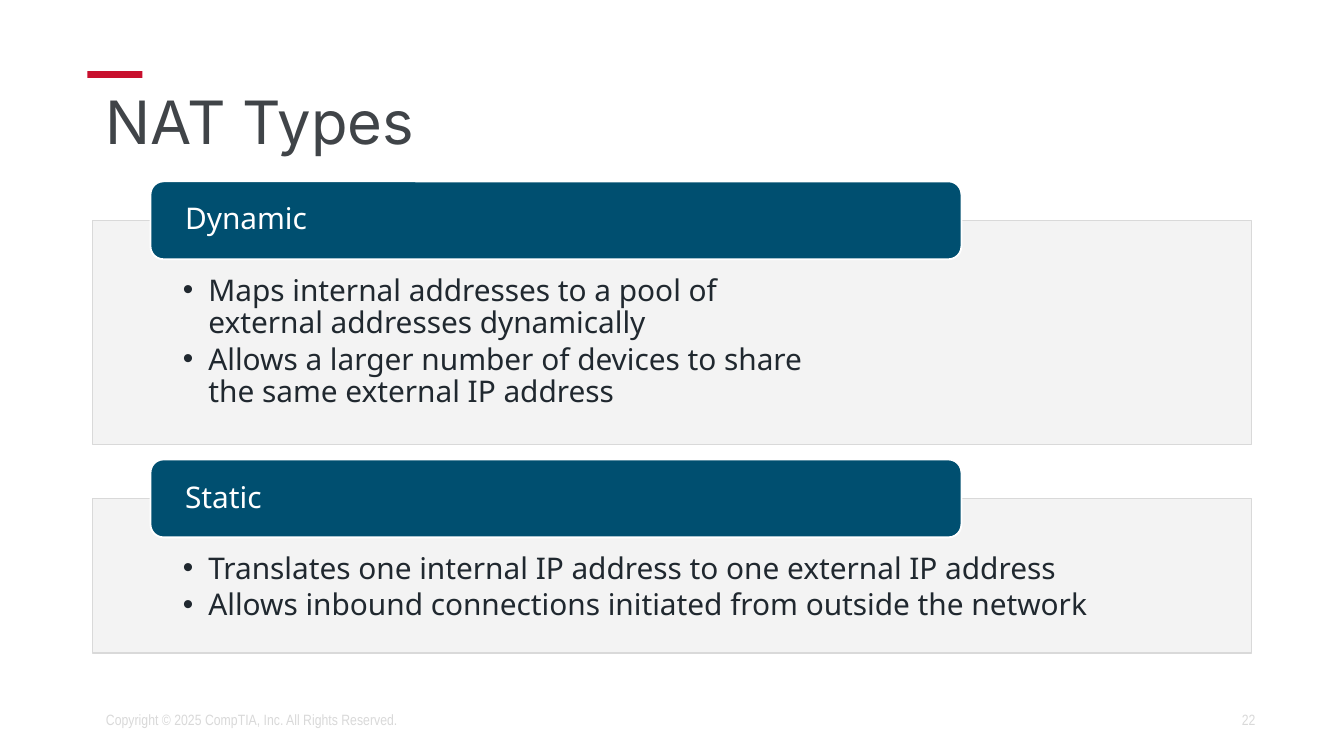
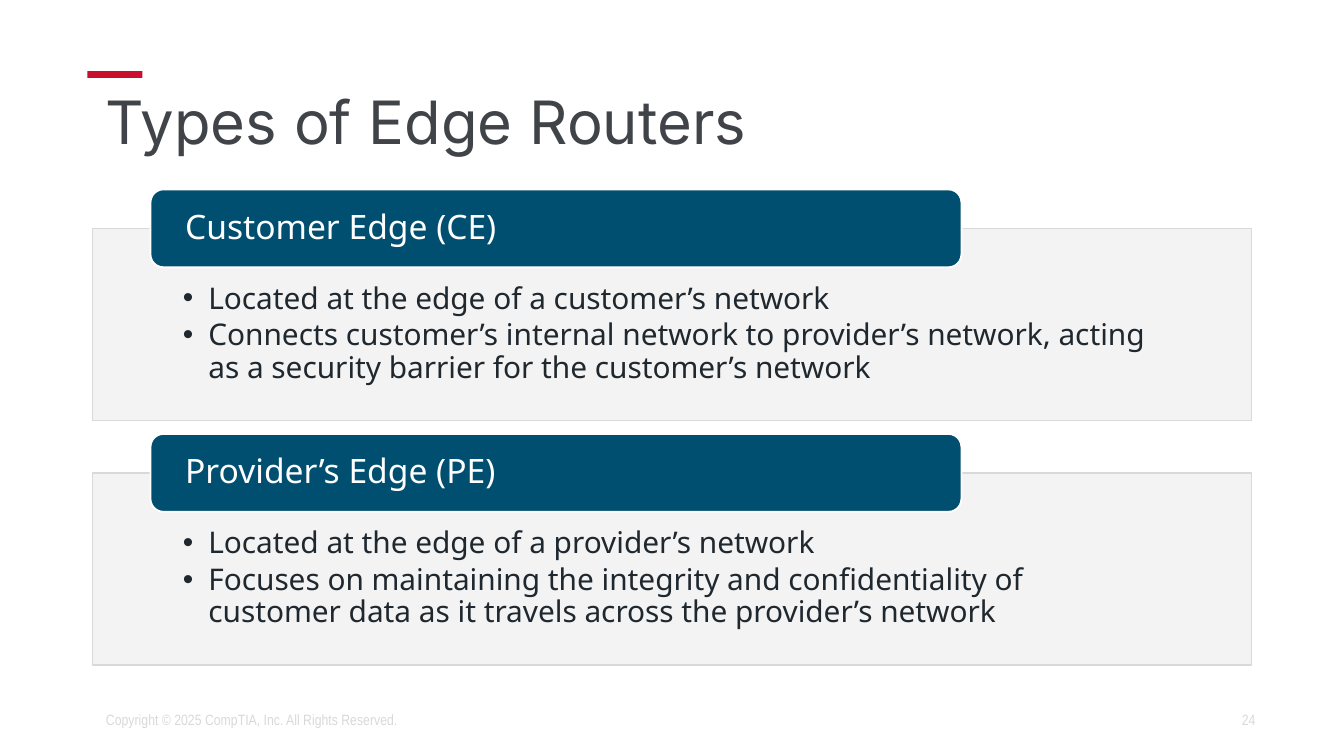
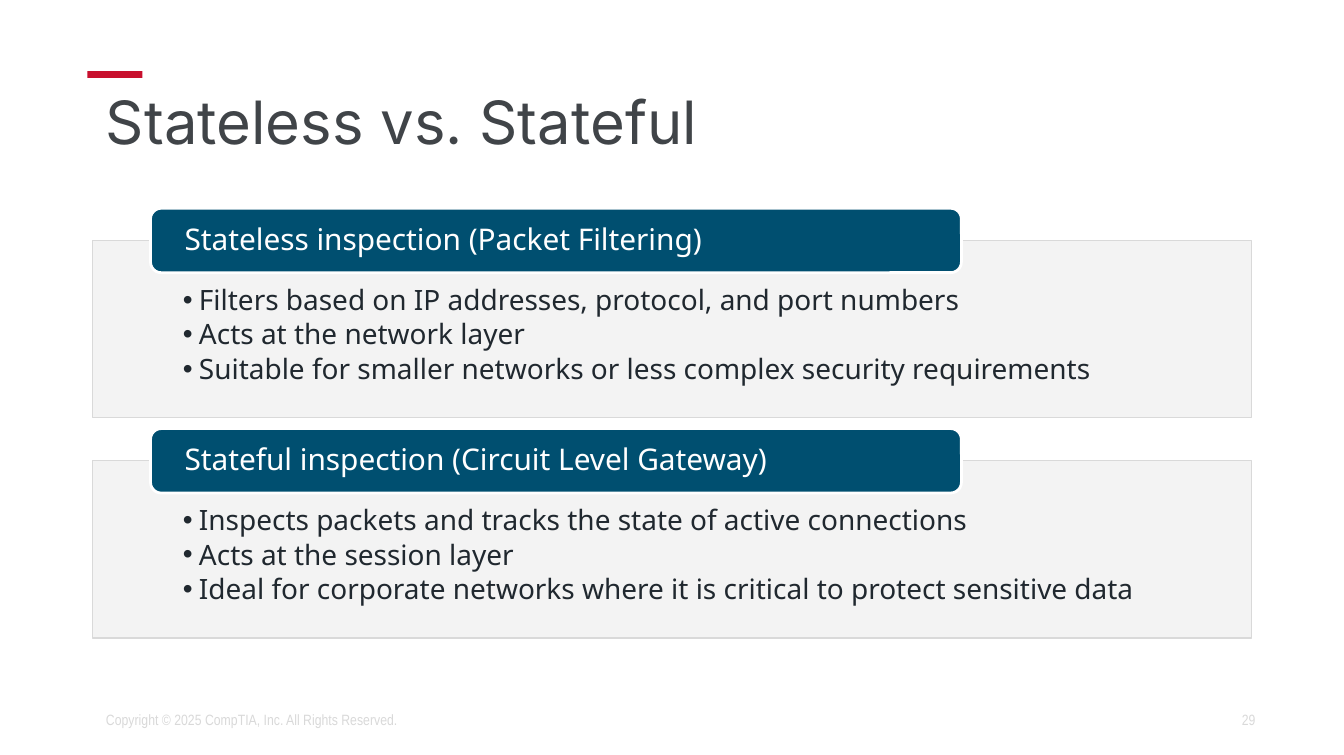
import pptx
import pptx.util
import pptx.dml.color
import pptx.enum.shapes
import pptx.enum.text
import pptx.oxml.ns
import lxml.etree

Inches, Pt = pptx.util.Inches, pptx.util.Pt
SHAPES = pptx.enum.shapes.MSO_SHAPE
ANCHOR = pptx.enum.text.MSO_ANCHOR
ALIGN = pptx.enum.text.PP_ALIGN
qn = pptx.oxml.ns.qn

COLORS = {
    "accent": "C8102E",
    "title": "404448",
    "footer": "D9D9D9",
    "panel": "F2F2F2",
    "panel_edge": "D9D9D9",
    "tab": "004F70",
    "white": "FFFFFF",
    "body": "20282F",
}
COPYRIGHT = "Copyright © 2025 CompTIA, Inc. All Rights Reserved."
LEFT, WIDTH = 0.69, 8.62

SLIDES = [
    {
        "title": "NAT Types", "number": 22, "top": 1.35, "gap": 0.11,
        "tab_height": 0.58, "tab_size": 16, "tab_edge": 1,
        "body_size": 16, "body_top": 0.41, "indent": 0.19,
        "sections": [
            ("Dynamic", 1.67, [
                "Maps internal addresses to a pool of\vexternal addresses dynamically",
                "Allows a larger number of devices to share\vthe same external IP address",
            ]),
            ("Static", 1.15, [
                "Translates one internal IP address to one external IP address",
                "Allows inbound connections initiated from outside the network",
            ]),
        ],
    },
    {
        "title": "Types of Edge Routers", "number": 24, "top": 1.41, "gap": 0.1,
        "tab_height": 0.58, "tab_size": 18, "tab_edge": 1,
        "body_size": 16, "body_top": 0.41, "indent": 0.19,
        "sections": [
            ("Customer Edge (CE)", 1.43, [
                "Located at the edge of a customer’s network",
                "Connects customer’s internal network to provider’s network, "
                "acting as a security barrier for the customer’s network",
            ]),
            ("Provider’s Edge (PE)", 1.43, [
                "Located at the edge of a provider’s network",
                "Focuses on maintaining the integrity and confidentiality of "
                "customer data as it travels across the provider’s network",
            ]),
        ],
    },
    {
        "title": "Stateless vs. Stateful", "number": 29, "top": 1.55, "gap": 0.08,
        "tab_height": 0.48, "tab_size": 16, "tab_edge": 1.5,
        "body_size": 15, "body_top": 0.34, "indent": 0.12,
        "sections": [
            ("Stateless inspection (Packet Filtering)", 1.32, [
                "Filters based on IP addresses, protocol, and port numbers",
                "Acts at the network layer",
                "Suitable for smaller networks or less complex security requirements",
            ]),
            ("Stateful inspection (Circuit Level Gateway)", 1.32, [
                "Inspects packets and tracks the state of active connections",
                "Acts at the session layer",
                "Ideal for corporate networks where it is critical to protect sensitive data",
            ]),
        ],
    },
]


# Shared helpers
def rgb(color):
    return pptx.dml.color.RGBColor.from_string(COLORS[color])


def style_paragraph(paragraph, font, size, color, align=ALIGN.LEFT):
    paragraph.alignment = align
    paragraph.font.name = font
    paragraph.font.size = Pt(size)
    paragraph.font.color.rgb = rgb(color)


def space_after_percent(paragraph, percent):
    properties = paragraph._p.get_or_add_pPr()
    spacing = lxml.etree.SubElement(properties, qn("a:spcAft"))
    lxml.etree.SubElement(spacing, qn("a:spcPct")).set("val", str(percent * 1000))


def add_bullet(paragraph, indent):
    properties = paragraph._p.get_or_add_pPr()
    properties.set("marL", str(Inches(indent)))
    properties.set("indent", str(-Inches(indent)))
    lxml.etree.SubElement(properties, qn("a:buFont")).set("typeface", "Arial")
    lxml.etree.SubElement(properties, qn("a:buChar")).set("char", "•")


def add_block(slide, kind, box, fill, edge=None, edge_width=0):
    block = slide.shapes.add_shape(kind, *map(Inches, box))
    block.shadow.inherit = False
    block.fill.solid()
    block.fill.fore_color.rgb = rgb(fill)
    if edge:
        block.line.color.rgb = rgb(edge)
        block.line.width = Pt(edge_width)
    else:
        block.line.fill.background()
    return block


def set_insets(frame, left, top, right, bottom):
    frame.margin_left, frame.margin_top = Inches(left), Inches(top)
    frame.margin_right, frame.margin_bottom = Inches(right), Inches(bottom)


def add_label(slide, box, text, font, size, color, align=ALIGN.LEFT, anchor=ANCHOR.MIDDLE):
    frame = slide.shapes.add_textbox(*map(Inches, box)).text_frame
    frame.word_wrap = True
    frame.vertical_anchor = anchor
    paragraph = frame.paragraphs[0]
    paragraph.text = text
    style_paragraph(paragraph, font, size, color, align)
    return paragraph


# Title with accent bar
def add_title(slide, text):
    add_block(slide, SHAPES.RECTANGLE, (0.65, 0.53, 0.41, 0.05), "accent")
    title = add_label(slide, (LEFT, 0.64, WIDTH, 0.63), text, "Inter", 32, "title",
                      anchor=ANCHOR.TOP)
    title.line_spacing = 0.9


# Copyright and page number
def add_footer(slide, number):
    add_label(slide, (7.06, 5.21, 2.38, 0.3), str(number), "Arial Narrow", 8, "footer",
              ALIGN.RIGHT)
    add_label(slide, (LEFT, 5.21, 4.31, 0.3), COPYRIGHT, "Arial Narrow", 8, "footer")


# Bulleted panel
def add_panel(slide, box, bullets, content):
    panel = add_block(slide, SHAPES.RECTANGLE, box, "panel", "panel_edge", 0.75)
    fill_color = panel.fill._xPr.find(qn("a:solidFill"))[0]
    lxml.etree.SubElement(fill_color, qn("a:alpha")).set("val", "90000")
    frame = panel.text_frame
    frame.word_wrap = True
    frame.vertical_anchor = ANCHOR.TOP
    set_insets(frame, 0.67, content["body_top"], 0.67, 0.12)
    for index, bullet in enumerate(bullets):
        paragraph = frame.add_paragraph() if index else frame.paragraphs[0]
        paragraph.text = bullet
        paragraph.level = 1
        space_after_percent(paragraph, 15)
        add_bullet(paragraph, content["indent"])
        paragraph.line_spacing = 0.9
        style_paragraph(paragraph, "Noto Sans", content["body_size"], "body")


# Rounded heading that straddles the panel's top edge
def add_tab(slide, box, heading, content):
    tab = add_block(slide, SHAPES.ROUNDED_RECTANGLE, box, "tab", "white", content["tab_edge"])
    frame = tab.text_frame
    frame.word_wrap = True
    frame.vertical_anchor = ANCHOR.MIDDLE
    set_insets(frame, 0.23, 0, 0.23, 0)
    paragraph = frame.paragraphs[0]
    paragraph.text = heading
    space_after_percent(paragraph, 35)
    paragraph.line_spacing = 0.9
    style_paragraph(paragraph, "Noto Sans", content["tab_size"], "white")


def add_sections(slide, content):
    tab_top, tab_height = content["top"], content["tab_height"]
    for heading, panel_height, bullets in content["sections"]:
        panel_top = tab_top + tab_height / 2
        add_panel(slide, (LEFT, panel_top, WIDTH, panel_height), bullets, content)
        add_tab(slide, (LEFT + 0.43, tab_top, WIDTH * 0.7, tab_height), heading, content)
        tab_top = panel_top + panel_height + content["gap"]


def main():
    deck = pptx.Presentation()
    deck.slide_width, deck.slide_height = Inches(10), Inches(5.62)
    for content in SLIDES:
        slide = deck.slides.add_slide(deck.slide_layouts[6])
        add_title(slide, content["title"])
        add_sections(slide, content)
        add_footer(slide, content["number"])
    deck.save("out.pptx")


if __name__ == "__main__":
    main()
